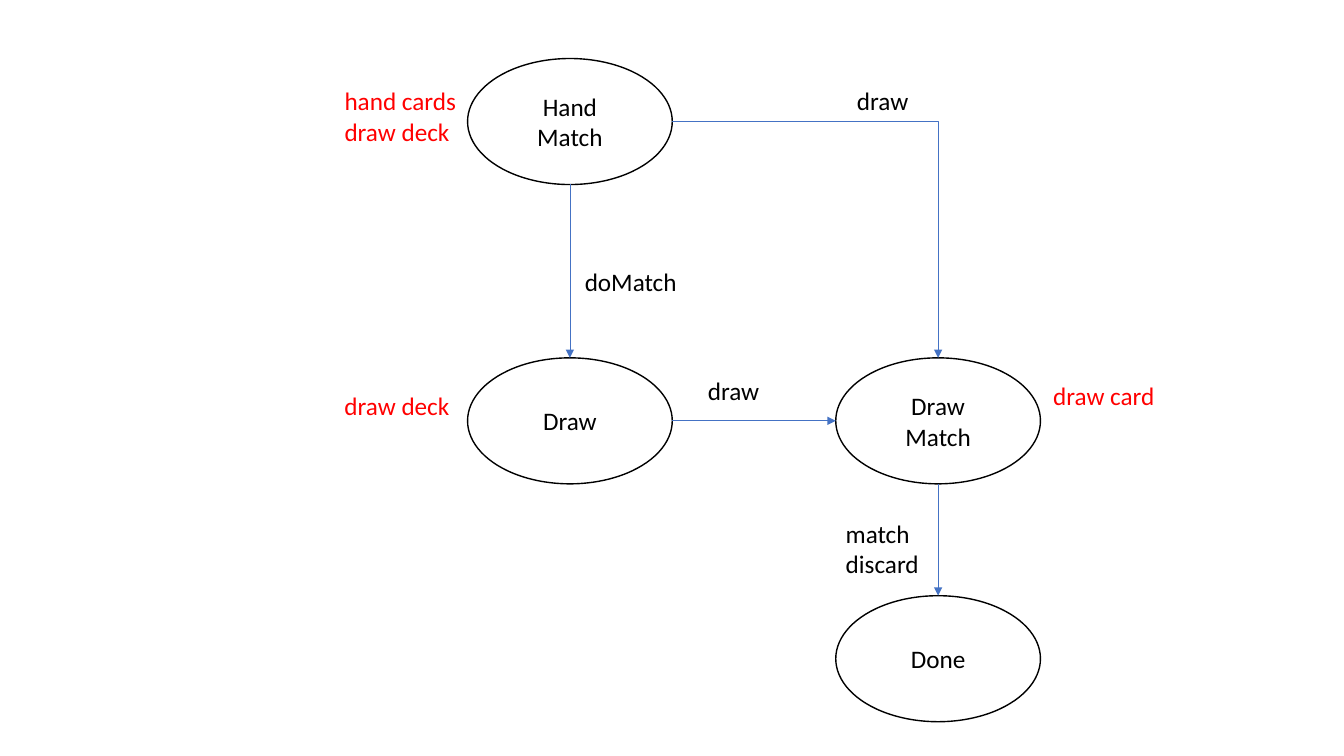
from dataclasses import dataclass

from pptx import Presentation
from pptx.dml.color import RGBColor
from pptx.enum.shapes import MSO_CONNECTOR, MSO_SHAPE
from pptx.enum.text import MSO_ANCHOR, MSO_AUTO_SIZE, PP_ALIGN
from pptx.oxml.ns import qn
from pptx.shapes.autoshape import Shape
from pptx.slide import Slide
from pptx.text.text import TextFrame
from pptx.util import Pt
from lxml import etree

OVAL = MSO_SHAPE.OVAL
STRAIGHT = MSO_CONNECTOR.STRAIGHT
ELBOW = MSO_CONNECTOR.ELBOW
MIDDLE = MSO_ANCHOR.MIDDLE
GROW = MSO_AUTO_SIZE.SHAPE_TO_FIT_TEXT
LEFT = PP_ALIGN.LEFT
CENTER = PP_ALIGN.CENTER

COLORS = {"paper": "FFFFFF", "ink": "000000", "arrow": "4472C4", "data": "FF0000"}
FONT = "Calibri"
SIZE = 18
WIDTH, HEIGHT = 146.2, 90
COLS = (334, 597)
ROWS = (41.8, 255.6, 425.5)
LINE = 21.8
PAD = 7.2


@dataclass
class State:
    text: str
    col: int
    row: int


@dataclass
class Step:
    start: str
    end: str
    leave: str
    enter: str


@dataclass
class Label:
    text: str
    left: float
    top: float
    width: float
    color: str = "ink"


@dataclass
class Site:
    index: int
    across: float
    down: float


SITES = {
    "top": Site(0, 0.5, 0),
    "left": Site(2, 0, 0.5),
    "bottom": Site(4, 0.5, 1),
    "right": Site(6, 1, 0.5),
}

STATES = {
    "hand": State("Hand\nMatch", 0, 0),
    "draw": State("Draw", 0, 1),
    "match": State("Draw\nMatch", 1, 1),
    "done": State("Done", 1, 2),
}

STEPS = (
    Step("hand", "draw", "bottom", "top"),
    Step("draw", "match", "right", "left"),
    Step("hand", "match", "right", "top"),
    Step("match", "done", "bottom", "top"),
)

LABELS = (
    Label("draw", 498.5, 264.4, 51.8),
    Label("match\ndiscard", 597, 366.8, 67),
    Label("doMatch", 410.6, 187, 80.6),
    Label("draw", 605, 57.6, 51.8),
    Label("hand cards\ndraw deck", 239, 57.6, 95, "data"),
    Label("draw deck", 239, 275.2, 90.7, "data"),
    Label("draw card", 745.2, 267.8, 87.8, "data"),
)


def shade(name: str) -> RGBColor:
    return RGBColor.from_string(COLORS[name])


def write(frame: TextFrame, text: str, color: str, align: PP_ALIGN) -> None:
    for i, line in enumerate(text.split("\n")):
        para = frame.add_paragraph() if i else frame.paragraphs[0]
        para.alignment = align
        run = para.add_run()
        run.text = line
        run.font.name = FONT
        run.font.size = Pt(SIZE)
        run.font.color.rgb = shade(color)


def add_state(slide: Slide, state: State) -> Shape:
    oval = slide.shapes.add_shape(
        OVAL, Pt(COLS[state.col]), Pt(ROWS[state.row]), Pt(WIDTH), Pt(HEIGHT)
    )
    oval.shadow.inherit = False
    oval.fill.solid()
    oval.fill.fore_color.rgb = shade("paper")
    oval.line.color.rgb = shade("ink")
    oval.line.width = Pt(1)
    oval.text_frame.vertical_anchor = MIDDLE
    write(oval.text_frame, state.text, "ink", CENTER)
    return oval


def add_step(slide: Slide, step: Step, ovals: dict[str, Shape]) -> None:
    ends = []
    for name, side in ((step.start, step.leave), (step.end, step.enter)):
        state, site = STATES[name], SITES[side]
        ends.append(Pt(COLS[state.col] + WIDTH * site.across))
        ends.append(Pt(ROWS[state.row] + HEIGHT * site.down))
    bent = step.leave == "right" and step.enter == "top"
    arrow = slide.shapes.add_connector(ELBOW if bent else STRAIGHT, *ends)
    arrow.line.color.rgb = shade("arrow")
    arrow.line.width = Pt(0.5)
    props = arrow.element.spPr
    if bent:
        props.find(qn("a:prstGeom")).set("prst", "bentConnector2")
    etree.SubElement(arrow.get_or_add_ln(), qn("a:tailEnd"), type="triangle")
    etree.SubElement(props, qn("a:effectLst"))
    joints = next(arrow.element.iter(qn("p:cNvCxnSpPr")))
    for tag, name, side in (
        ("a:stCxn", step.start, step.leave),
        ("a:endCxn", step.end, step.enter),
    ):
        etree.SubElement(
            joints, qn(tag), id=str(ovals[name].shape_id), idx=str(SITES[side].index)
        )


def add_label(slide: Slide, label: Label) -> None:
    lines = label.text.count("\n") + 1
    box = slide.shapes.add_textbox(
        Pt(label.left), Pt(label.top), Pt(label.width), Pt(lines * LINE + PAD)
    )
    box.text_frame.word_wrap = False
    box.text_frame.auto_size = GROW
    write(box.text_frame, label.text, label.color, LEFT)


def main() -> None:
    deck = Presentation()
    deck.slide_width, deck.slide_height = Pt(960), Pt(540)
    slide = deck.slides.add_slide(deck.slide_layouts[6])
    ovals = {name: add_state(slide, state) for name, state in STATES.items()}
    for step in STEPS:
        add_step(slide, step, ovals)
    for label in LABELS:
        add_label(slide, label)
    deck.save("out.pptx")


main()
